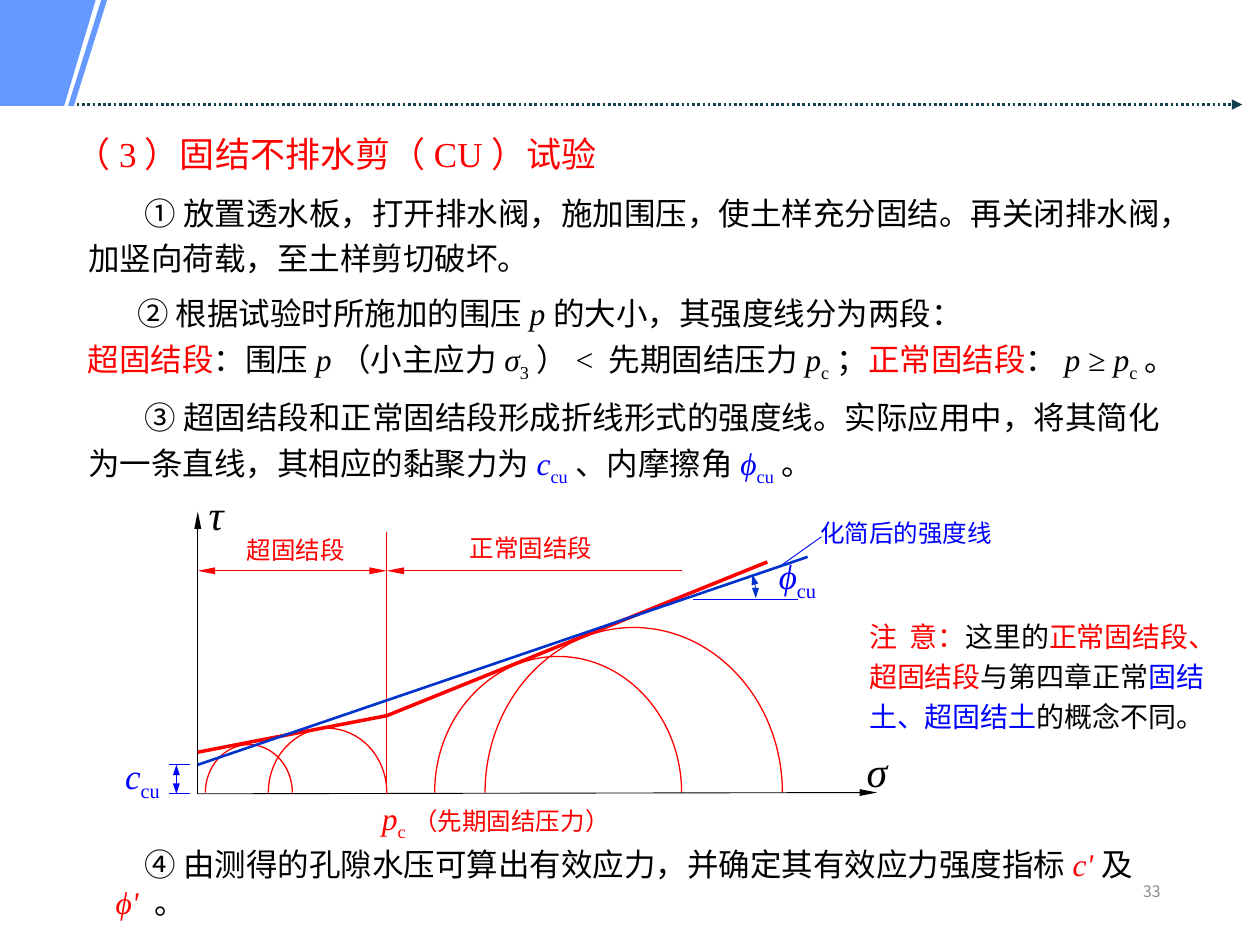
"""Build the slide on the consolidated undrained (CU) shear test."""
from lxml.etree import SubElement
from pptx import Presentation
from pptx.dml.color import RGBColor
from pptx.enum.dml import MSO_LINE
from pptx.enum.shapes import MSO_CONNECTOR, MSO_SHAPE
from pptx.enum.text import MSO_ANCHOR, MSO_AUTO_SIZE, PP_ALIGN
from pptx.oxml.ns import qn
from pptx.util import Inches, Pt

rgb = RGBColor.from_string
RED, BLUE, BLACK, GREY = "FF0000", "0000FF", "000000", "898989"
NAVY, SKY, TEAL, WHITE = "0033CC", "6699FF", "12414E", "FFFFFF"
TIMES, SC, JP = "Times New Roman", "Noto Sans CJK SC", "Noto Sans CJK JP"
LEFT, CENTER, RIGHT = PP_ALIGN.LEFT, PP_ALIGN.CENTER, PP_ALIGN.RIGHT
TOP, MIDDLE = MSO_ANCHOR.TOP, MSO_ANCHOR.MIDDLE
LONG, SHORT, PLAIN = ("sm", "lg"), ("sm", "med"), ("med", "med")


def style_line(sp, color, width, ends="", size=PLAIN):
    """Set line colour and width, and arrowheads at the named ends."""
    sp.line.color.rgb = rgb(color)
    sp.line.width = Pt(width)
    ln = sp._element.spPr.find(qn("a:ln"))
    for end in ends.split():
        SubElement(ln, qn(f"a:{end}End"), type="triangle", w=size[0], len=size[1])
    SubElement(sp._element.spPr, qn("a:effectLst"))


def add_text(box, size, paras, anchor=MIDDLE, align=LEFT, spacing=None,
             indent=0, inset=None, sp=None):
    """Write (text, colour, flags, size) runs; i italic, b subscript, n SC, j JP, w wide."""
    sp = sp or s.shapes.add_textbox(0, 0, 0, 0)
    sp.left, sp.top, sp.width, sp.height = map(Inches, box)
    tf = sp.text_frame
    tf.word_wrap, tf.auto_size = True, MSO_AUTO_SIZE.NONE
    tf.vertical_anchor = anchor
    if inset is not None:
        tf.margin_left = tf.margin_right = tf.margin_top = tf.margin_bottom = inset
    for n, runs in enumerate(paras):
        p = tf.paragraphs[0] if n == 0 else tf.add_paragraph()
        p.alignment = align
        if spacing:
            p.line_spacing = spacing
        if indent and n == 0:
            p._p.get_or_add_pPr().set("indent", str(Inches(indent)))
        for text, color, flags, *own_size in runs:
            r = p.add_run()
            r.text = text
            r.font.size = Pt(own_size[0] if own_size else size)
            r.font.color.rgb = rgb(color)
            r.font.italic = "i" in flags
            r.font.name = SC if "n" in flags else JP if "j" in flags else TIMES
            rPr = r._r.get_or_add_rPr()
            SubElement(rPr, qn("a:ea"), typeface=JP if "j" in flags else SC)
            if "b" in flags:
                rPr.set("baseline", "-25000")
            if "w" in flags:
                rPr.set("spc", "350")


prs = Presentation()
prs.slide_width, prs.slide_height = Inches(10), Inches(7.5)
s = prs.slides.add_slide(prs.slide_layouts[5])

fb = s.shapes.build_freeform(0, 0, scale=1.0)
fb.add_line_segments([(Inches(x), Inches(y)) for x, y in
                      [(0.76, 0), (0.51, 0.84), (0, 0.84)]])
corner = fb.convert_to_shape()
stripe = s.shapes.add_shape(MSO_SHAPE.PARALLELOGRAM, Inches(0.54), 0,
                            Inches(0.31), Inches(0.84))
stripe.adjustments[0] = 0.85
veil = s.shapes.add_shape(MSO_SHAPE.RECTANGLE, *map(Inches, (6.85, 6.02, 3.15, 1.48)))
for sp, color in ((corner, SKY), (stripe, SKY), (veil, WHITE)):
    sp.shadow.inherit = False
    sp.fill.solid()
    sp.fill.fore_color.rgb = rgb(color)
    sp.line.fill.background()
SubElement(veil._element.spPr.find(qn("a:solidFill"))[0], qn("a:alpha"), val="80000")

rule = s.shapes.add_connector(MSO_CONNECTOR.STRAIGHT, Inches(0.61), Inches(0.83),
                              Inches(9.86), Inches(0.83))
rule.line.dash_style = MSO_LINE.ROUND_DOT
style_line(rule, TEAL, 1.5, "tail")

add_text((0.5, 1, 4.67, 0.44), 20, [[("（3）固结不排水剪（CU）试验", RED, "")]],
         sp=s.shapes.title)
add_text((7.06, 6.95, 2.25, 0.4), 9, [[("33", GREY, "n")]], TOP, RIGHT)

add_text((0.6, 1.44, 8.85, 0.8), 18, [[
    ("① ", BLACK, "n"),
    ("放置透水板，打开排水阀，施加围压，使土样充分固结。再关闭排水阀，"
     "加竖向荷载，至土样剪切破坏。", BLACK, "")]], spacing=1.2, indent=0.45)
add_text((0.6, 2.24, 9.03, 0.83), 18, [
    [("② ", BLACK, "n"), ("根据试验时所施加的围压", BLACK, ""), ("p", BLACK, "i"),
     ("的大小，其强度线分为两段：", BLACK, "")],
    [("超固结段", RED, ""), ("：围压", BLACK, ""), ("p", BLACK, "i"),
     ("（小主应力", BLACK, ""), ("σ", BLACK, "i"), ("3", BLACK, "b"),
     ("）< 先期固结压力", BLACK, ""), ("p", BLACK, "i"), ("c", BLACK, "b"),
     ("；", BLACK, ""), ("正常固结段", RED, ""), ("：", BLACK, ""),
     ("p", BLACK, "i"), (" ≥ ", BLACK, ""), ("p", BLACK, "i"),
     ("c", BLACK, "b"), ("。", BLACK, "")]], spacing=1.2, indent=0.39)
add_text((0.6, 3.08, 8.85, 0.8), 18, [[
    ("③ ", BLACK, "n"),
    ("超固结段和正常固结段形成折线形式的强度线。实际应用中，将其简化"
     "为一条直线，其相应的黏聚力为", BLACK, ""),
    ("c", BLUE, "i"), ("cu", BLUE, "b"), ("、内摩擦角", BLACK, ""),
    ("ϕ", BLUE, "i"), ("cu", BLUE, "b"), ("。", BLACK, "")]],
    spacing=1.2, indent=0.45)
add_text((0.82, 6.77, 8.7, 0.47), 18, [[
    ("④ 由测得的孔隙水压可算出有效应力，并确定其有效应力", BLACK, "n"),
    ("强度指标", BLACK, ""), ("c'", RED, "i"), ("及", BLACK, ""),
    ("ϕ' ", RED, "i"), ("。", BLACK, "")]], indent=0.23)
add_text((6.8, 4.69, 2.93, 1.3), 16, [[
    ("注", RED, "j"), (" ", RED, "jw"), ("意：", RED, "j"),
    ("这里的", BLACK, ""), ("正常固结段、超固结段", RED, ""),
    ("与第四章正常", BLACK, ""), ("固结土、超固结土", BLUE, ""),
    ("的概念不同。", BLACK, "")]], spacing=1.2)

base, bend = 6.29, 0.55
for left, top, width in [(1.63, 5.91, 0.69), (2.13, 5.78, 0.94),
                         (3.85, 4.98, 2.36), (3.45, 5.21, 1.96)]:
    rx, ry = width / 2, base - top
    pts = [(Inches(left + rx + x * rx), Inches(base - y * ry)) for x, y in
           [(-1, 0), (-1, bend), (-bend, 1), (0, 1), (bend, 1), (1, bend), (1, 0)]]
    fb = s.shapes.build_freeform(*pts[0], scale=1.0)
    fb.add_line_segments(pts[1:], close=False)
    circle = fb.convert_to_shape()
    outline = circle._element.spPr.find(".//" + qn("a:path"))
    segments = outline.findall(qn("a:lnTo"))
    for n in (0, 3):
        curve = SubElement(outline, qn("a:cubicBezTo"))
        for segment in segments[n:n + 3]:
            curve.append(segment[0])
            outline.remove(segment)
    circle.fill.background()
    style_line(circle, RED, 0.75)

for x1, y1, x2, y2, color, width, ends, size in [
        (1.57, 6.3, 1.57, 4.06, BLACK, 0.5, "tail", LONG),
        (1.57, 6.3, 6.96, 6.29, BLACK, 0.5, "tail", LONG),
        (1.57, 5.97, 3.07, 5.68, RED, 2, "", PLAIN),
        (3.07, 5.68, 6.09, 4.46, RED, 2, "", PLAIN),
        (3.07, 6.3, 3.07, 4.22, RED, 0.5, "", PLAIN),
        (1.57, 4.53, 3.07, 4.53, RED, 0.5, "head tail", LONG),
        (5.41, 4.53, 3.07, 4.53, RED, 0.5, "tail", LONG),
        (6.52, 4.26, 6.21, 4.48, BLUE, 0.5, "", PLAIN),
        (1.4, 6.07, 1.4, 6.3, BLUE, 0.5, "head tail", SHORT),
        (1.51, 6.07, 1.34, 6.07, BLUE, 0.5, "", PLAIN),
        (1.51, 6.3, 1.34, 6.3, BLUE, 0.5, "", PLAIN),
        (1.57, 6.07, 6.41, 4.42, NAVY, 1.5, "", PLAIN),
        (5.5, 4.76, 6.33, 4.76, BLUE, 0.5, "", PLAIN)]:
    sp = s.shapes.add_connector(MSO_CONNECTOR.STRAIGHT,
                                *map(Inches, (x1, y1, x2, y2)))
    style_line(sp, color, width, ends, size)

arc = s.shapes.add_shape(MSO_SHAPE.ARC, *map(Inches, (5.03, 4.24, 0.97, 0.97)))
for n, degrees in enumerate((340, 2.78)):
    arc.adjustments[n] = degrees * 0.6
arc.fill.background()
style_line(arc, NAVY, 0.5, "head tail", SHORT)

add_text((1.48, 3.88, 0.47, 0.39), 24, [[("τ", BLACK, "i")]], TOP, CENTER, inset=0)
add_text((6.66, 5.87, 0.6, 0.49), 24, [[("σ", BLACK, "i")]], TOP, CENTER)
for symbol, box in [("c", (0.87, 5.94, 0.52, 0.42)), ("ϕ", (6, 4.35, 0.66, 0.44))]:
    add_text(box, 20, [[(symbol, BLUE, "i"), ("cu", BLUE, "b")]], TOP, CENTER)
add_text((2.84, 6.29, 2.19, 0.39), 18, [[
    ("p", RED, "i"), ("c", RED, "b"), ("（", RED, "", 14),
    ("先期固结压力）", RED, "n", 14)]], TOP, CENTER)
for label, color, flags, box in [
        ("正常固结段", RED, "", (3.63, 4.18, 1.4, 0.33)),
        ("超固结段", RED, "", (1.86, 4.24, 1.03, 0.24)),
        ("化简后的强度线", BLUE, "n", (6.41, 4.06, 1.58, 0.33))]:
    add_text(box, 14, [[(label, color, flags)]])

prs.save("out.pptx")
